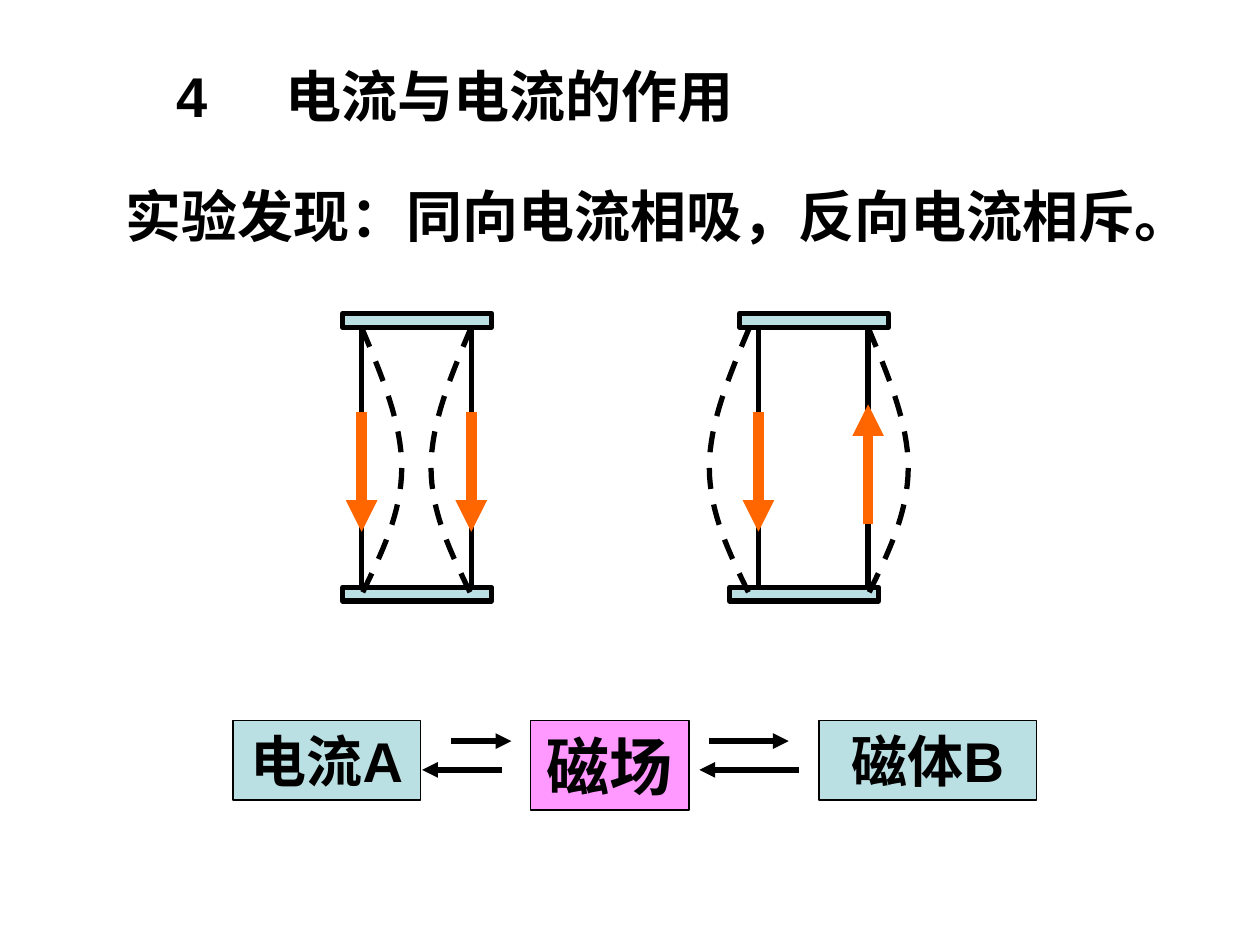
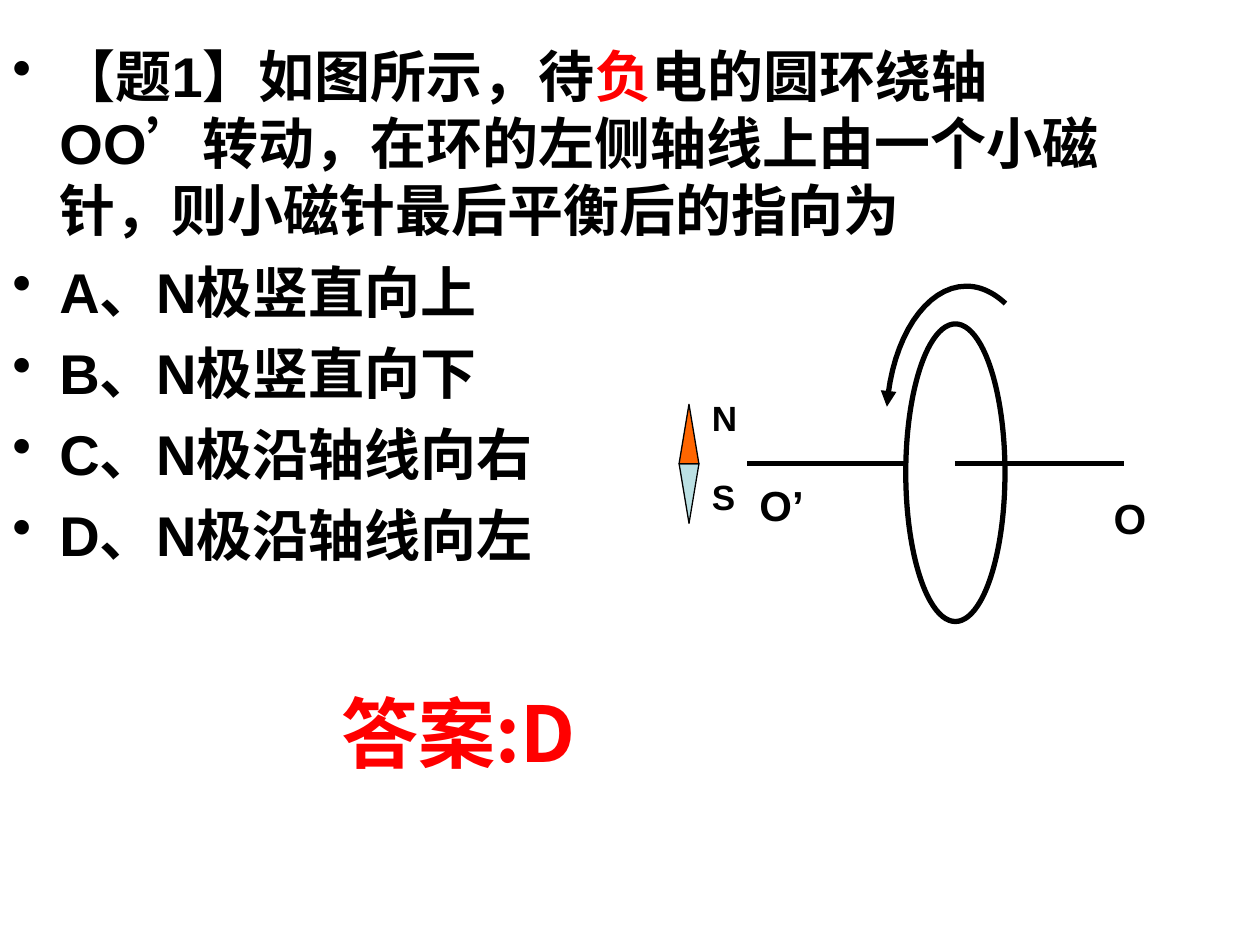
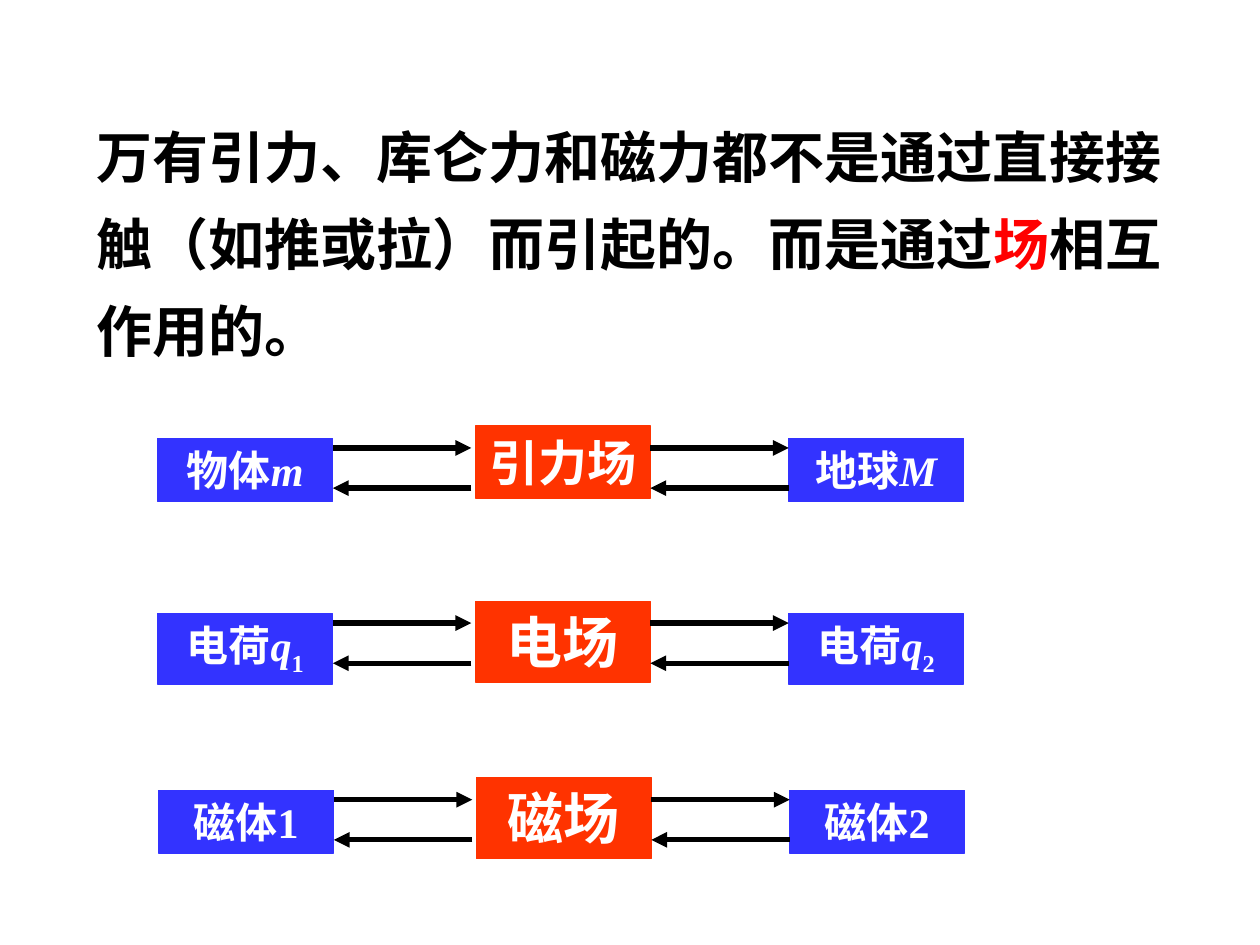
from lxml import etree
from pptx import Presentation
from pptx.dml.color import RGBColor
from pptx.enum.dml import MSO_LINE
from pptx.enum.shapes import MSO_CONNECTOR, MSO_SHAPE
from pptx.enum.text import MSO_ANCHOR, MSO_AUTO_SIZE, PP_ALIGN
from pptx.oxml.ns import qn
from pptx.util import Cm, Pt

RECTANGLE, OVAL, TRIANGLE = MSO_SHAPE.RECTANGLE, MSO_SHAPE.OVAL, MSO_SHAPE.ISOSCELES_TRIANGLE
STRAIGHT, DASH = MSO_CONNECTOR.STRAIGHT, MSO_LINE.DASH
LEFT, CENTER = PP_ALIGN.LEFT, PP_ALIGN.CENTER
TOP, MIDDLE = MSO_ANCHOR.TOP, MSO_ANCHOR.MIDDLE
FIT_SHAPE = MSO_AUTO_SIZE.SHAPE_TO_FIT_TEXT

COLORS = {
    "black": "000000", "white": "FFFFFF", "red": "FF0000", "pale": "BBE0E3",
    "pink": "FF99FF", "orange": "FF6600", "blue": "3333FF", "scarlet": "FF3300",
}
SANS, SERIF, CHINESE = "Arial", "Times New Roman", "Noto Sans CJK SC"
RED, ITALIC, SUBSCRIPT = {"color": "red"}, {"italic": True}, {"baseline": -25000}

# Content of slide 1: text, then (left, width, height, fill, size, text) and arrows
HEADING = "4\t电流与电流的作用"
FINDING = "实验发现：同向电流相吸，反向电流相斥。"
MEDIATION_TOP = 14.53
MEDIATION_BOXES = [
    (16.51, 4.39, 1.6, "pale", 32, "磁体B"),
    (10.69, 3.2, 1.8, "pink", 36, "磁场"),
    (4.7, 3.78, 1.6, "pale", 32, "电流A"),
]
MEDIATION_ARROWS = [(9.09, 10.31, 14.94), (14.3, 15.9, 14.94),
                    (16.1, 14.1, 15.52), (10.11, 8.51, 15.52)]
BULGE = 0.81
DOWN, UP = (8.31, 10.72), (10.57, 8.15)
# Wires: x, x where the bent wire is fixed, direction of bending, current
WIRE_PAIRS = [
    {"bars": (6.91, 6.91), "wires": [(7.29, 7.29, 1, DOWN), (9.5, 9.5, -1, DOWN)]},
    {"bars": (14.91, 14.71), "wires": [(15.29, 15.11, -1, DOWN), (17.5, 17.5, 1, UP)]},
]

# Content of slide 2
QUESTION = [
    ["【题1】如图所示，待", ("负", RED),
     "电的圆环绕轴OO’转动，在环的左侧轴线上由一个小磁针，则小磁针最后平衡后的指向为"],
    ["A、N极竖直向上"],
    ["B、N极竖直向下"],
    ["C、N极沿轴线向右"],
    ["D、N极沿轴线向左"],
]
ANSWER = "答案:D"
AXIS_Y = 9.35
AXIS_PARTS = [(19.25, 22.66), (18.26, 15.06)]
NEEDLE = [(AXIS_Y, "pale", 180), (AXIS_Y - 1.2, "orange", 0)]
RING_LABELS = [
    ("N", 20, (14.1, 7.87, 1.02, 1.12)),
    ("S", 20, (14.1, 9.47, 0.97, 1.12)),
    ("O", 24, (22.2, 9.8, 1.17, 1.27)),
    ("O’", 24, (15.06, 9.55, 1.4, 1.27)),
]
ROTATION = [(20.27, 6.12), (20.02, 5.89), (19.76, 5.77), (19.48, 5.77),
            (18.67, 5.77), (17.98, 6.81), (17.88, 8.2)]

# Content of slide 3: left, top, side height, middle height, middle size, texts
STATEMENT = ["万有引力、库仑力和磁力都不是通过直接接触（如推或拉）而引起的。而是通过",
             ("场", RED), "相互作用的。"]
FIELD_ROWS = [
    (3.18, 12.37, 1.42, 1.63, 32, ["电荷", ("q", ITALIC), ("1", SUBSCRIPT)], ["电场"],
     ["电荷", ("q", ITALIC), ("2", SUBSCRIPT)]),
    (3.18, 8.84, 1.27, 1.45, 28, ["物体", ("m", ITALIC)], ["引力场"],
     ["地球", ("M", ITALIC)]),
    (3.2, 15.93, 1.27, 1.63, 32, ["磁体1"], ["磁场"], ["磁体2"]),
]


def rgb(name):
    return RGBColor.from_string(COLORS[name])


def write(shape, paragraphs, size, font=SANS, color="black", align=LEFT, anchor=TOP,
          wrap=True, bullets=False, tab=None, line_spacing=None):
    """Fill a shape with paragraphs, each a list of strings or (text, style)."""
    frame = shape.text_frame
    frame.word_wrap = wrap
    frame.vertical_anchor = anchor
    for number, spans in enumerate(paragraphs):
        para = frame.add_paragraph() if number else frame.paragraphs[0]
        settings = para._p.get_or_add_pPr()
        if bullets:
            settings.set("marL", str(Cm(0.95)))
            settings.set("indent", str(Cm(-0.95)))
            etree.SubElement(settings, qn("a:buChar"), char="•")
        if tab:
            stops = etree.SubElement(settings, qn("a:tabLst"))
            etree.SubElement(stops, qn("a:tab"), pos=str(Cm(tab)), algn="l")
        if number:
            para.space_before = Pt(8)
        if line_spacing:
            para.line_spacing = line_spacing
        para.alignment = align
        para.font.size = Pt(size)
        para.font.bold = True
        para.font.name = font
        para.font.color.rgb = rgb(color)
        etree.SubElement(settings.find(qn("a:defRPr")), qn("a:ea"), typeface=CHINESE)
        for item in spans:
            text, style = (item, {}) if isinstance(item, str) else item
            span = para.add_run()
            span.text = text
            if "color" in style:
                span.font.color.rgb = rgb(style["color"])
            if "italic" in style:
                span.font.italic = True
            if "baseline" in style:
                span.font._element.set("baseline", str(style["baseline"]))


def add_text(shapes, place, paragraphs, size, **options):
    box = shapes.add_textbox(*map(Cm, place))
    write(box, paragraphs, size, **options)
    return box


def set_line(shape, color, width):
    shape.line.color.rgb = rgb(color)
    shape.line.width = Pt(width)


def add_figure(shapes, kind, place, fill=None, line="black", width=0.75):
    figure = shapes.add_shape(kind, *map(Cm, place))
    figure.shadow.inherit = False
    if fill:
        figure.fill.solid()
        figure.fill.fore_color.rgb = rgb(fill)
    else:
        figure.fill.background()
    set_line(figure, line, width)
    return figure


def add_arrowhead(shape):
    etree.SubElement(shape.line._get_or_add_ln(), qn("a:tailEnd"), type="triangle")


def add_line(shapes, start, end, color="black", width=3, arrow=False):
    line = shapes.add_connector(STRAIGHT, *map(Cm, start + end))
    set_line(line, color, width)
    if arrow:
        add_arrowhead(line)
    etree.SubElement(line._element.spPr, qn("a:effectLst"))


def add_curve(shapes, points, steps=16):
    """Draw a chain of cubic curves: a start, then three points for each curve."""
    path_points = []
    for first in range(0, len(points) - 1, 3):
        p0, p1, p2, p3 = points[first:first + 4]
        for step in range(1, steps + 1):
            t = step / steps
            u = 1 - t
            path_points.append(tuple(
                Cm(u**3 * a + 3 * u * u * t * b + 3 * u * t * t * c + t**3 * d)
                for a, b, c, d in zip(p0, p1, p2, p3)))
    builder = shapes.build_freeform(*map(Cm, points[0]))
    builder.add_line_segments(path_points, close=False)
    curve = builder.convert_to_shape()
    curve.shadow.inherit = False
    curve.fill.background()
    set_line(curve, "black", 3)
    return curve


def add_wire_pair(shapes, bars, wires):
    for left, top in zip(bars, (6.32, 11.84)):
        add_figure(shapes, RECTANGLE, (left, top, 3, 0.28), "pale", width=3)
    for x, _, _, _ in wires:
        add_line(shapes, (x, 6.6), (x, 11.84))
    for _, fixed, direction, _ in wires:
        bent = fixed + direction * BULGE
        halfway = fixed + direction * BULGE / 2
        curve = add_curve(shapes, [
            (fixed, 6.6), (halfway, 7.57), (bent, 8.53), (bent, 9.42),
            (bent, 10.34), (halfway, 11.15), (fixed, 11.99)])
        curve.line.dash_style = DASH
    for x, _, _, (start, end) in wires:
        add_line(shapes, (x, start), (x, end), "orange", 6, arrow=True)


def build_currents(page):
    shapes = page.shapes
    for left, width, height, fill, size, text in MEDIATION_BOXES:
        box = add_figure(shapes, RECTANGLE, (left, MEDIATION_TOP, width, height), fill)
        write(box, [[text]], size, align=CENTER, anchor=MIDDLE, wrap=False)
    for start, end, y in MEDIATION_ARROWS:
        add_line(shapes, (start, y), (end, y), arrow=True)
    add_text(shapes, (3.3, 1.12, 16.81, 1.63), [[HEADING]], 32, tab=2.2)
    for pair in WIRE_PAIRS:
        add_wire_pair(shapes.add_group_shape().shapes, **pair)
    add_text(shapes, (2.29, 3.53, 22, 1.63), [[FINDING]], 32)


def build_question(page):
    add_text(page.shapes, (0, 0.71, 22.86, 12.57), QUESTION, 32, bullets=True)
    # Ring on its axis, with the needle beside it
    shapes = page.shapes.add_group_shape().shapes
    add_figure(shapes, OVAL, (18.26, 6.53, 2, 6), width=3)
    for start, end in AXIS_PARTS:
        add_line(shapes, (start, AXIS_Y), (end, AXIS_Y))
    for top, fill, angle in NEEDLE:
        half = add_figure(shapes, TRIANGLE, (13.69, top, 0.4, 1.2), fill)
        half.rotation = angle
    add_arrowhead(add_curve(shapes, ROTATION))
    for text, size, place in RING_LABELS:
        label = add_text(shapes, place, [[text]], size, wrap=False)
        label.text_frame.auto_size = FIT_SHAPE
    add_text(page.shapes, (6.63, 13.69, 5.4, 2.13), [[ANSWER]], 44, font=CHINESE, color="red")


def build_fields(page):
    add_text(page.shapes, (1.7, 1.93, 22.6, 5.54), [STATEMENT], 32, font=SERIF,
             line_spacing=1.3)
    width, gap = 3.53, 2.79
    for left, top, side_height, middle_height, middle_size, first, field, second in FIELD_ROWS:
        shapes = page.shapes.add_group_shape().shapes
        middle, right = left + 6.4, left + 12.72
        boxes = [
            (left, top, side_height, "blue", 24, first),
            (right, top, side_height, "blue", 24, second),
            (middle, top - 0.25, middle_height, "scarlet", middle_size, field),
        ]
        for x, y, height, fill, size, spans in boxes:
            box = add_figure(shapes, RECTANGLE, (x, y, width, height), fill, line=fill)
            write(box, [spans], size, font=SERIF, color="white", align=CENTER)
        for start in (left + width, middle + width):
            end = start + gap
            add_line(shapes, (start, top + 0.19), (end, top + 0.19), arrow=True)
            add_line(shapes, (end, top + 1), (start, top + 1), arrow=True)


def main():
    deck = Presentation()
    deck.slide_width, deck.slide_height = Cm(25.4), Cm(19.05)
    for build in (build_currents, build_question, build_fields):
        build(deck.slides.add_slide(deck.slide_layouts[6]))
    deck.save("out.pptx")


if __name__ == "__main__":
    main()
